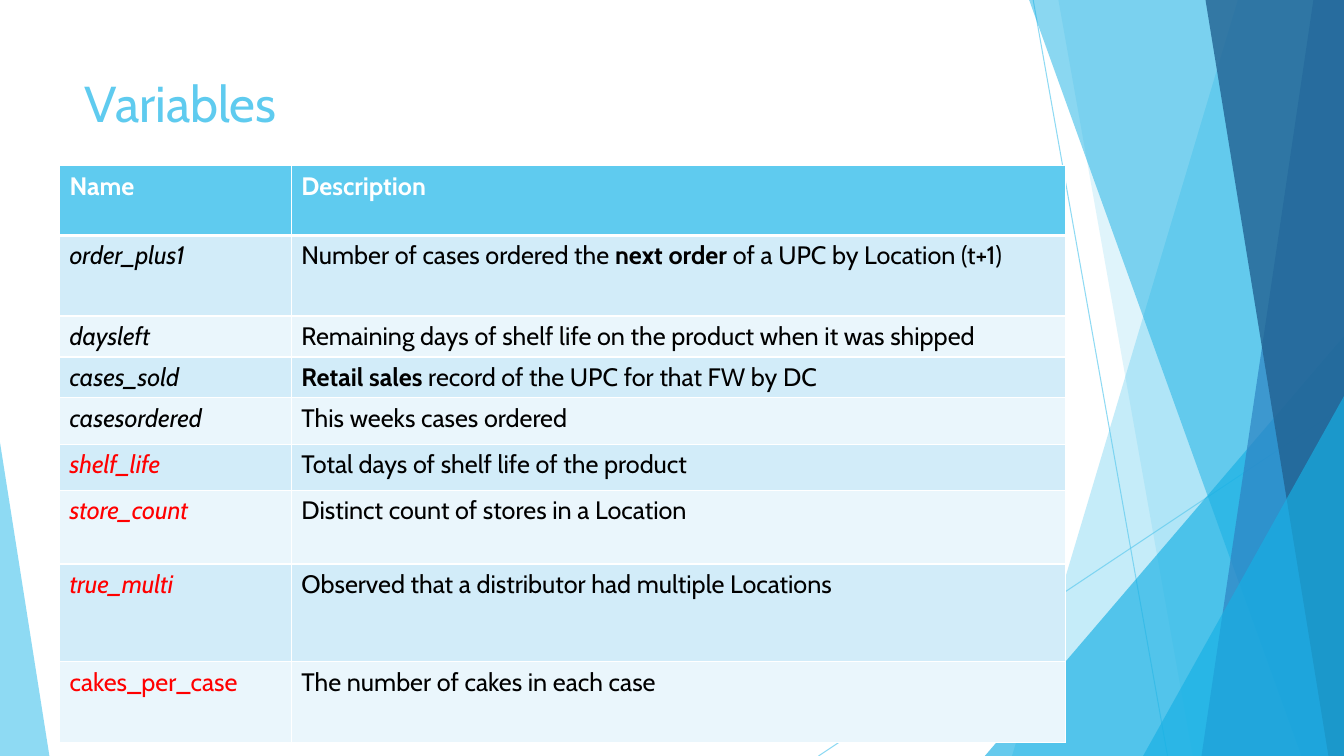
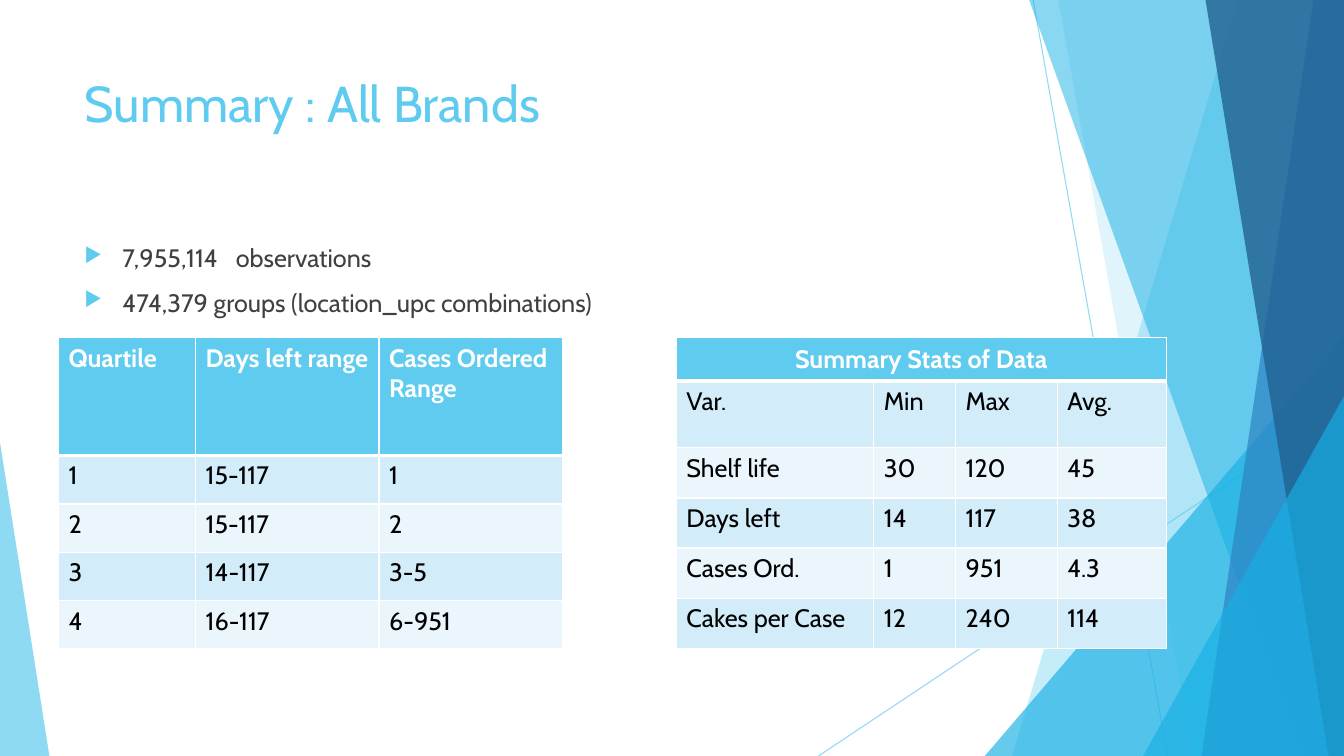
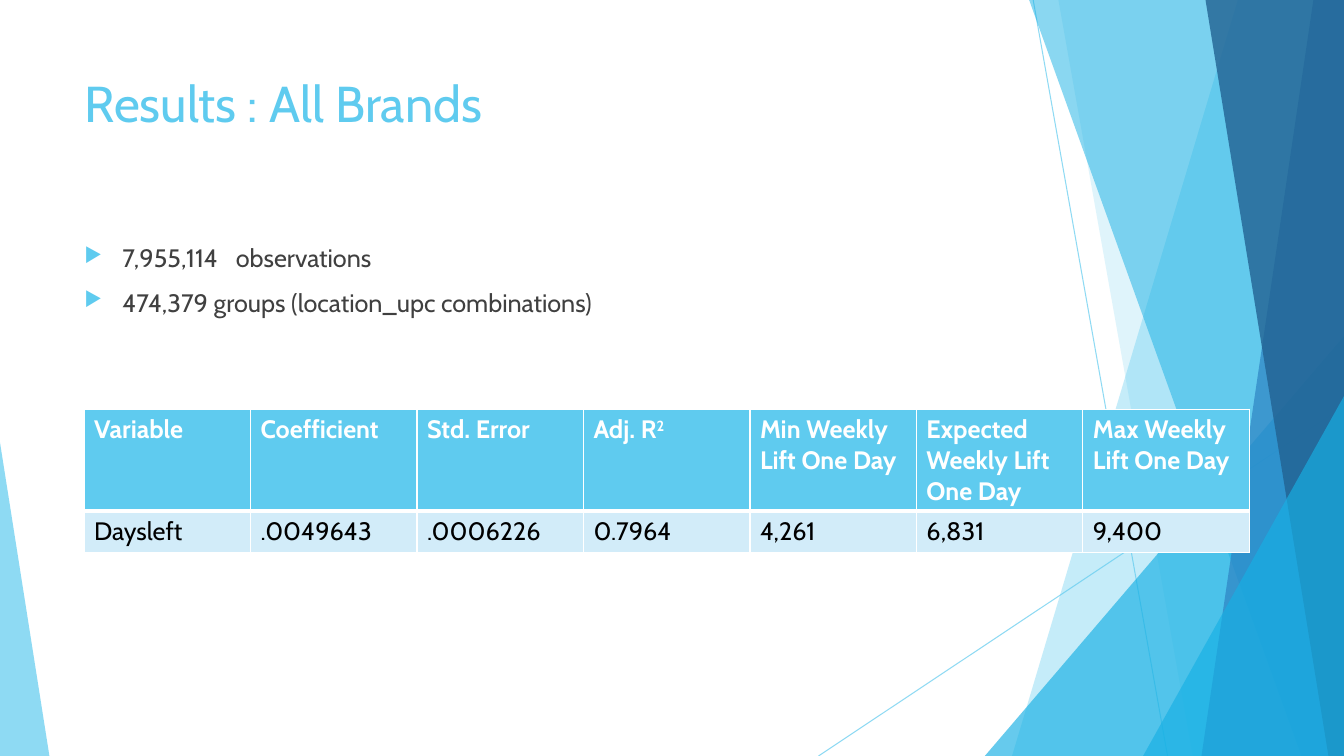
from dataclasses import dataclass

from lxml.etree import SubElement
from pptx import Presentation
from pptx.dml.color import RGBColor
from pptx.enum.shapes import MSO_CONNECTOR, MSO_SHAPE, PP_PLACEHOLDER
from pptx.enum.text import MSO_ANCHOR, MSO_AUTO_SIZE, PP_ALIGN
from pptx.oxml.ns import qn
from pptx.util import Emu, Pt

STRAIGHT = MSO_CONNECTOR.STRAIGHT
TRIANGLE = MSO_SHAPE.ISOSCELES_TRIANGLE
TITLE = PP_PLACEHOLDER.TITLE
TOP, MIDDLE = MSO_ANCHOR.TOP, MSO_ANCHOR.MIDDLE
NO_FIT = MSO_AUTO_SIZE.NONE
LEFT, CENTER = PP_ALIGN.LEFT, PP_ALIGN.CENTER

COLUMNS, ROWS = 160, 90
GRID_STEP = 76200
TITLE_ONLY = 5


@dataclass(frozen=True)
class Theme:
    font: str = "Cabin"
    title_size: float = 36
    text_size: float = 18
    bullet_gap: float = 10
    hairline: float = 0.75
    thin_border: float = 1
    header_border: float = 3
    sky: RGBColor = RGBColor.from_string("5FCBEF")
    azure: RGBColor = RGBColor.from_string("17B0E4")
    blue: RGBColor = RGBColor.from_string("2E83C3")
    navy: RGBColor = RGBColor.from_string("226292")
    band: RGBColor = RGBColor.from_string("D2ECF9")
    pale_band: RGBColor = RGBColor.from_string("EAF6FC")
    gray: RGBColor = RGBColor.from_string("404040")
    black: RGBColor = RGBColor.from_string("000000")
    white: RGBColor = RGBColor.from_string("FFFFFF")
    red: RGBColor = RGBColor.from_string("FF0000")


THEME = Theme()


@dataclass(frozen=True)
class Ray:
    start: tuple
    end: tuple


@dataclass(frozen=True)
class Facet:
    top_left: float
    top_right: float
    bottom_left: float
    color: RGBColor
    opacity: int


@dataclass(frozen=True)
class Wedge:
    left: float
    top: float
    width: float
    apex: float
    color: RGBColor
    opacity: int


@dataclass(frozen=True)
class Phrase:
    text: str
    bold: bool = False
    raised: bool = False
    tracking: float = 0


@dataclass(frozen=True)
class Entry:
    phrases: tuple
    italic: bool = False
    color: RGBColor = THEME.black


@dataclass(frozen=True)
class Grid:
    left: float
    top: float
    widths: tuple
    heights: tuple
    rows: tuple


@dataclass(frozen=True)
class Page:
    title: str
    bullets: tuple
    grids: tuple


def variable(name: str, color: RGBColor = THEME.black, italic: bool = True) -> Entry:
    return Entry((Phrase(name),), italic, color)


SCENERY = (
    Ray((123, 0), (139, ROWS)),
    Ray((COLUMNS, 48.36), (97.44, ROWS)),
    Facet(147.36, COLUMNS, 120.48, THEME.sky, 36),
    Facet(126, COLUMNS, 142, THEME.sky, 20),
    Wedge(117.24, 40, 42.76, 1, THEME.azure, 66),
    Facet(122.52, COLUMNS, 154.92, THEME.azure, 50),
    Facet(156.36, COLUMNS, 143.04, THEME.blue, 70),
    Facet(143.52, COLUMNS, 158.16, THEME.navy, 80),
    Wedge(136.08, 47.16, 23.92, 1, THEME.azure, 66),
    Wedge(0, 52.68, 5.88, 0, THEME.sky, 70),
)

DATA_SIZE = (
    (Phrase("7,955,114"), Phrase(" ", tracking=8.6), Phrase("observations")),
    (Phrase("474,379 groups (location_upc combinations)"),),
)

VARIABLES = Grid(
    7.08, 19.75, (27.6, 92.2),
    (8.28, 9.6, 4.87, 4.87, 5.52, 5.52, 8.76, 11.64, 9.6),
    (
        ("Name", "Description"),
        (variable("order_plus1"), Entry((
            Phrase("Number of cases ordered the "),
            Phrase("next order ", bold=True),
            Phrase("of a UPC by Location (t+1)"),
        ))),
        (variable("daysleft"),
         "Remaining days of shelf life on the product when it was shipped"),
        (variable("cases_sold"), Entry((
            Phrase("Retail sales", bold=True),
            Phrase(" record of the UPC for that FW by DC"),
        ))),
        (variable("casesordered"), "This weeks cases ordered"),
        (variable("shelf_life", THEME.red), "Total days of shelf life of the product"),
        (variable("store_count", THEME.red), "Distinct count of stores in a Location"),
        (variable("true_multi", THEME.red),
         "Observed that a distributor had multiple Locations"),
        (variable("cakes_per_case", THEME.red, italic=False),
         "The number of cakes in each case"),
    ),
)

QUARTILES = Grid(
    6.96, 40.2, (16.32, 21.84, 21.84), (14.04,) + (5.76,) * 4,
    (
        ("Quartile", "Days left range", "Cases Ordered Range"),
        ("1", "15-117", "1"),
        ("2", "15-117", "2"),
        ("3", "14-117", "3-5"),
        ("4", "16-117", "6-951"),
    ),
)

SUMMARY_STATS = Grid(
    80.52, 40.2, (23.52, 9.72, 12.12, 12.96), (5.2, 7.92) + (5.97,) * 4,
    (
        ("Summary Stats of Data",),
        ("Var.", "Min", "Max", "Avg."),
        ("Shelf life", "30", "120", "45"),
        ("Days left", "14", "117", "38"),
        ("Cases Ord.", "1", "951", "4.3"),
        ("Cakes per Case", "12", "240", "114"),
    ),
)

COEFFICIENTS = Grid(
    10, 48.72, (19.82,) * 7, (12.1, 4.92),
    (
        ("Variable", "Coefficient", "Std. Error",
         Entry((Phrase("Adj. R"), Phrase("2", raised=True))),
         "Min Weekly Lift One Day", "Expected Weekly Lift One Day",
         "Max Weekly Lift One Day"),
        ("Daysleft", ".0049643", ".0006226", "0.7964", "4,261", "6,831", "9,400"),
    ),
)

PAGES = (
    Page("Variables", (), (VARIABLES,)),
    Page("Summary : All Brands", DATA_SIZE, (QUARTILES, SUMMARY_STATS)),
    Page("Results : All Brands", DATA_SIZE, (COEFFICIENTS,)),
)


def cells(*counts: float) -> list:
    return [Emu(round(count * GRID_STEP)) for count in counts]


def set_opacity(element, percent: int) -> None:
    for color in element.iter(qn("a:srgbClr")):
        SubElement(color, qn("a:alpha"), val=str(percent * 1000))


def draw_ray(shapes, ray: Ray) -> None:
    line = shapes.add_connector(STRAIGHT, *cells(*ray.start, *ray.end))
    line.line.width = Pt(THEME.hairline)
    line.line.color.rgb = THEME.sky
    set_opacity(line.element, 70)
    SubElement(line.element.spPr, qn("a:effectLst"))


def paint(shape, color: RGBColor, opacity: int) -> None:
    shape.shadow.inherit = False
    shape.line.fill.background()
    shape.fill.solid()
    shape.fill.fore_color.rgb = color
    set_opacity(shape.element.spPr, opacity)


def draw_facet(shapes, facet: Facet) -> None:
    outline = shapes.build_freeform(*cells(facet.top_left, 0))
    corners = ((facet.top_right, 0), (COLUMNS, ROWS), (facet.bottom_left, ROWS))
    outline.add_line_segments([cells(*corner) for corner in corners], close=True)
    paint(outline.convert_to_shape(), facet.color, facet.opacity)


def draw_wedge(shapes, wedge: Wedge) -> None:
    frame = cells(wedge.left, wedge.top, wedge.width, ROWS - wedge.top)
    triangle = shapes.add_shape(TRIANGLE, *frame)
    triangle.adjustments[0] = wedge.apex
    paint(triangle, wedge.color, wedge.opacity)


def draw_scenery(slide, layout) -> None:
    painters = {Ray: draw_ray, Facet: draw_facet, Wedge: draw_wedge}
    scenery = slide.shapes.add_group_shape()
    for part in SCENERY:
        painters[type(part)](scenery.shapes, part)
    layout.shapes.element.append(scenery.element)


def set_font(paragraph, color: RGBColor, size: float, bold: bool = False,
             italic: bool = False) -> None:
    font = paragraph.font
    font.name = THEME.font
    font.size = Pt(size)
    font.bold = bold
    font.italic = italic
    font.color.rgb = color


def write_phrases(paragraph, phrases: tuple) -> None:
    for phrase in phrases:
        run = paragraph.add_run()
        run.text = phrase.text
        if phrase.bold:
            run.font.bold = True
        if phrase.raised:
            run._r.get_or_add_rPr().set("baseline", "30000")
        if phrase.tracking:
            run._r.get_or_add_rPr().set("spc", str(round(phrase.tracking * 100)))


def write_title(slide, text: str) -> None:
    title = slide.shapes.title
    title.left, title.top, title.width, title.height = cells(8.88, 8.04, 112.8, 17.28)
    title.text_frame.text = text
    title.text_frame.vertical_anchor = TOP
    title.text_frame.auto_size = NO_FIT
    heading = title.text_frame.paragraphs[0]
    heading.alignment = LEFT
    set_font(heading, THEME.sky, THEME.title_size)


def add_bullet(paragraph) -> None:
    properties = paragraph._p.get_or_add_pPr()
    indent = cells(4.5)[0]
    properties.set("marL", str(indent))
    properties.set("indent", str(-indent))
    bullet_color = SubElement(properties, qn("a:buClr"))
    SubElement(bullet_color, qn("a:srgbClr"), val=str(THEME.sky))
    SubElement(properties, qn("a:buSzPct"), val="80000")
    SubElement(properties, qn("a:buChar"), char="▶")


def write_bullets(slide, bullets: tuple) -> None:
    body = slide.shapes.add_textbox(*cells(8.88, 28.32, 112.8, 50.88)).text_frame
    body.word_wrap = True
    for index, phrases in enumerate(bullets):
        paragraph = body.add_paragraph() if index else body.paragraphs[0]
        paragraph.space_before = Pt(THEME.bullet_gap)
        add_bullet(paragraph)
        set_font(paragraph, THEME.gray, THEME.text_size)
        write_phrases(paragraph, phrases)


def set_borders(cell, row: int) -> None:
    heavy = {0: "B", 1: "T"}.get(row)
    for side in "LRTB":
        width = THEME.header_border if side == heavy else THEME.thin_border
        edge = SubElement(cell._tc.get_or_add_tcPr(), qn(f"a:ln{side}"), w=str(Pt(width)))
        fill = SubElement(edge, qn("a:solidFill"))
        SubElement(fill, qn("a:srgbClr"), val=str(THEME.white))


def style_cell(cell, row: int) -> None:
    set_borders(cell, row)
    cell.fill.solid()
    stripe = THEME.band if row % 2 else THEME.pale_band
    cell.fill.fore_color.rgb = stripe if row else THEME.sky


def write_cell(cell, content, header: bool) -> None:
    entry = content if isinstance(content, Entry) else Entry((Phrase(content),))
    paragraph = cell.text_frame.paragraphs[0]
    color = THEME.white if header else entry.color
    set_font(paragraph, color, THEME.text_size, header, entry.italic)
    write_phrases(paragraph, entry.phrases)


def draw_grid(slide, grid: Grid) -> None:
    frame = cells(grid.left, grid.top, sum(grid.widths), sum(grid.heights))
    table = slide.shapes.add_table(len(grid.heights), len(grid.widths), *frame).table
    for column, width in zip(table.columns, cells(*grid.widths)):
        column.width = width
    for row, height in zip(table.rows, cells(*grid.heights)):
        row.height = height
    last = len(grid.widths) - 1
    for row, contents in enumerate(grid.rows):
        for column in range(last + 1):
            style_cell(table.cell(row, column), row)
        for column, content in enumerate(contents):
            write_cell(table.cell(row, column), content, row == 0)
        if len(contents) == 1:
            banner = table.cell(row, 0)
            banner.merge(table.cell(row, last))
            banner.vertical_anchor = MIDDLE
            banner.text_frame.paragraphs[0].alignment = CENTER


def main() -> None:
    deck = Presentation()
    deck.slide_width, deck.slide_height = cells(COLUMNS, ROWS)
    layout = deck.slide_layouts[TITLE_ONLY]
    for placeholder in list(layout.placeholders):
        if placeholder.placeholder_format.type != TITLE:
            layout.shapes.element.remove(placeholder.element)
    for number, page in enumerate(PAGES):
        slide = deck.slides.add_slide(layout)
        if number == 0:
            draw_scenery(slide, layout)
        write_title(slide, page.title)
        if page.bullets:
            write_bullets(slide, page.bullets)
        for grid in page.grids:
            draw_grid(slide, grid)
    deck.save("out.pptx")


if __name__ == "__main__":
    main()
